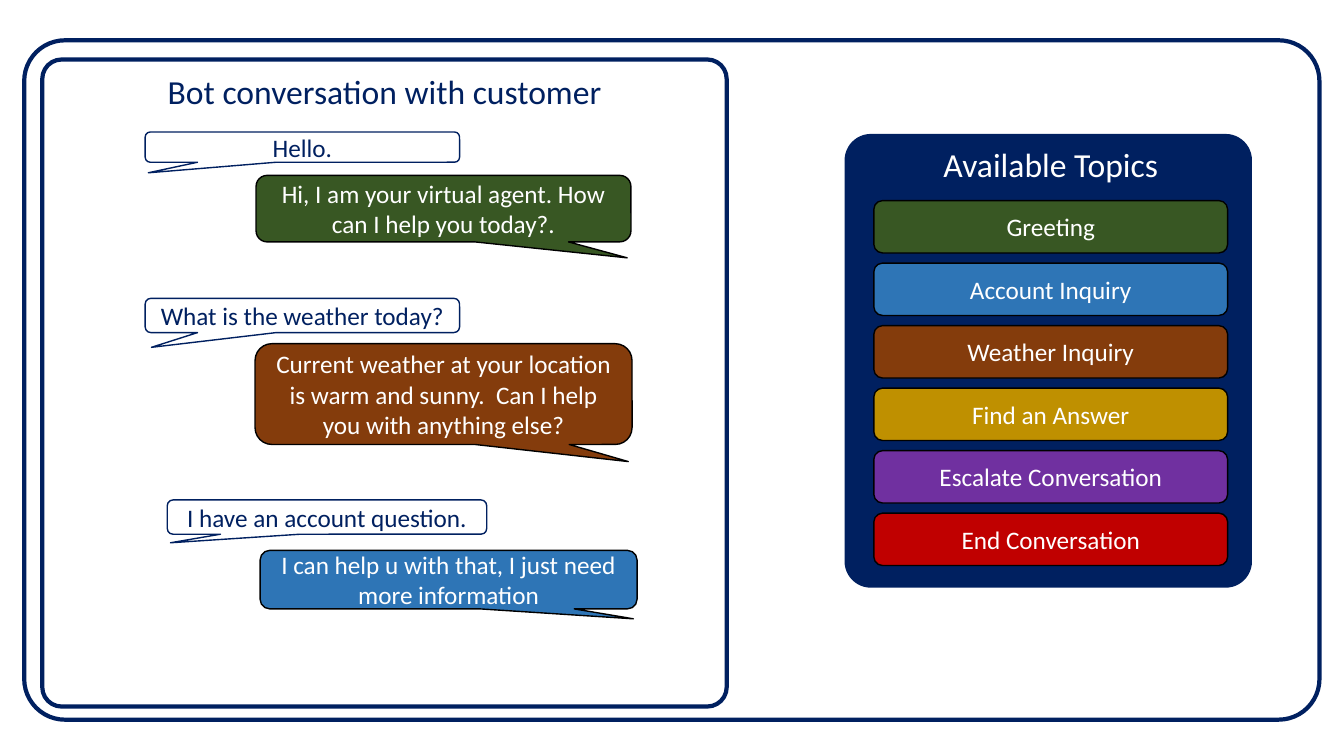
import pptx
import pptx.util
import pptx.dml.color
import pptx.enum.shapes
import pptx.enum.text

Pt = pptx.util.Pt
SHAPES = pptx.enum.shapes.MSO_SHAPE

# Content
FONT = "Calibri"
NAVY, WHITE, BLACK = "002060", "FFFFFF", "000000"
GREEN, BLUE, BROWN = "385723", "2E75B6", "843C0C"

CHAT_TITLE = "Bot conversation with customer"
TOPICS_TITLE = "Available Topics"
TOPICS = [
    ("Greeting", GREEN),
    ("Account Inquiry", BLUE),
    ("Weather Inquiry", BROWN),
    ("Find an Answer", "BF9000"),
    ("Escalate Conversation", "7030A0"),
    ("End Conversation", "C00000"),
]

# Customer turns are white, bot turns take the colour of their topic:
# text, topic colour or None, (left, top, width, height), pointer offset (x, y)
MESSAGES = [
    ("Hello.", None, (103.7, 94.3, 224.6, 21.6), (-0.49, 0.85)),
    ("Hi, I am your virtual agent. How can I help you today?.", GREEN,
     (182.9, 125.3, 267.8, 47.5), (0.49, 0.74)),
    ("What is the weather today?", None, (103.7, 213.1, 224.6, 24.5), (-0.48, 0.93)),
    ("Current weather at your location is warm and sunny.  Can I help you with "
     "anything else?", BROWN, (182.2, 245.5, 269.3, 72), (0.49, 0.67)),
    ("I have an account question.", None, (119.5, 357.1, 228.2, 24.5), (-0.49, 0.75)),
    ("I can help u with that, I just need more information", BLUE,
     (185.8, 393.1, 269.3, 41.8), (0.49, 0.67)),
]

# Layout
OUTER_FRAME = (17.3, 28.8, 925.2, 485.3)
CHAT_FRAME = (30.2, 42.5, 488.9, 462.2)
TOPICS_PANEL = (604.8, 97.2, 288, 321.1)
TOPIC_LEFT, TOPIC_TOP, TOPIC_WIDTH, TOPIC_HEIGHT = 624.2, 143.3, 252.7, 37.4
TOPIC_PITCH = 44.65


def rgb(hex_colour):
    return pptx.dml.color.RGBColor.from_string(hex_colour)


def write(target, text, size, colour):
    frame = target.text_frame
    frame.word_wrap = True
    paragraph = frame.paragraphs[0]
    paragraph.text = text
    paragraph.alignment = pptx.enum.text.PP_ALIGN.CENTER
    paragraph.font.name = FONT
    paragraph.font.size = Pt(size)
    paragraph.font.color.rgb = rgb(colour)


def add_box(slide, kind, box, fill, line, line_width, adjustments=()):
    shape = slide.shapes.add_shape(kind, *map(Pt, box))
    shape.shadow.inherit = False
    for index, value in enumerate(adjustments):
        shape.adjustments[index] = value
    if fill:
        shape.fill.solid()
        shape.fill.fore_color.rgb = rgb(fill)
    else:
        shape.fill.background()
    shape.line.color.rgb = rgb(line)
    shape.line.width = Pt(line_width)
    shape.text_frame.vertical_anchor = pptx.enum.text.MSO_ANCHOR.MIDDLE
    return shape


def add_title(slide, text, box, colour):
    write(slide.shapes.add_textbox(*map(Pt, box)), text, 24, colour)


def main():
    deck = pptx.Presentation()
    deck.slide_width, deck.slide_height = Pt(960), Pt(540)
    slide = deck.slides.add_slide(deck.slide_layouts[6])

    # Frames and topics panel
    for box, fill, corner in [
        (TOPICS_PANEL, NAVY, 0.06),
        (OUTER_FRAME, None, 0.06),
        (CHAT_FRAME, None, 0.03),
    ]:
        add_box(slide, SHAPES.ROUNDED_RECTANGLE, box, fill, NAVY, 3, [corner])

    # Conversation
    add_title(slide, CHAT_TITLE, (56.9, 46.8, 435.6, 36), NAVY)
    for text, topic_colour, box, pointer in MESSAGES:
        bubble = add_box(slide, SHAPES.ROUNDED_RECTANGULAR_CALLOUT, box,
                         topic_colour or WHITE, BLACK if topic_colour else NAVY, 1, pointer)
        write(bubble, text, 18, WHITE if topic_colour else NAVY)

    # Topics
    add_title(slide, TOPICS_TITLE, (TOPIC_LEFT, 99.4, TOPIC_WIDTH, 36), WHITE)
    for row, (name, colour) in enumerate(TOPICS):
        box = (TOPIC_LEFT, TOPIC_TOP + row * TOPIC_PITCH, TOPIC_WIDTH, TOPIC_HEIGHT)
        topic = add_box(slide, SHAPES.ROUNDED_RECTANGLE, box, colour, BLACK, 1)
        write(topic, name, 18, WHITE)

    deck.save("out.pptx")


if __name__ == "__main__":
    main()
